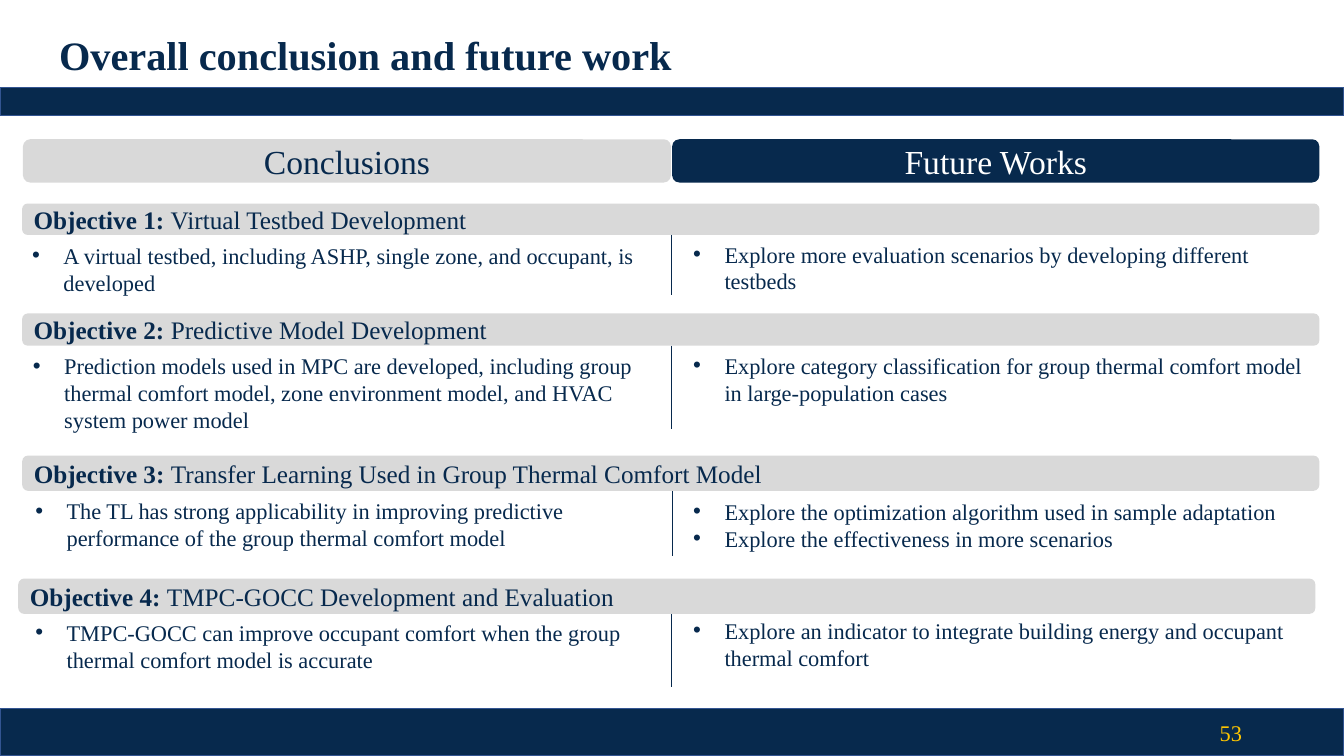
from dataclasses import dataclass

from lxml import etree
from pptx import Presentation
from pptx.dml.color import RGBColor
from pptx.enum.shapes import MSO_CONNECTOR, MSO_SHAPE
from pptx.enum.text import MSO_ANCHOR, PP_ALIGN
from pptx.oxml.ns import qn
from pptx.util import Cm, Pt

RECTANGLE = MSO_SHAPE.RECTANGLE
ROUNDED = MSO_SHAPE.ROUNDED_RECTANGLE
OBJECTIVE_BAR = MSO_SHAPE.FLOWCHART_ALTERNATE_PROCESS
STRAIGHT = MSO_CONNECTOR.STRAIGHT
MIDDLE = MSO_ANCHOR.MIDDLE
LEFT, CENTER, RIGHT = PP_ALIGN.LEFT, PP_ALIGN.CENTER, PP_ALIGN.RIGHT

FONT = "Times New Roman"
NAVY, GREY, WHITE = "07294D", "D9D9D9", "FFFFFF"
GOLD, EDGE_BLUE = "FFC600", "325491"

SLIDE_WIDTH, SLIDE_HEIGHT = 33.87, 19.05
BAR_WIDTH = 32.69
FUTURE_LEFT = 17.22
CONCLUSION_WIDTH, FUTURE_WIDTH = 16.28, 16.38
BULLET_INDENT = Cm(0.79)


@dataclass
class Objective:
    """One band of the slide; all positions are in cm."""
    topic: str
    conclusions: list
    future_works: list
    bar_left: float
    bar_top: float
    bar_height: float
    conclusion_left: float
    conclusion_top: float
    future_top: float
    divider_x: float
    divider_bottom: float


OBJECTIVES = [
    Objective(
        "Virtual Testbed Development",
        ["A virtual testbed, including ASHP, single zone, and occupant, is developed"],
        ["Explore more evaluation scenarios by developing different testbeds"],
        0.56, 5.13, 0.79, 0.56, 5.97, 5.94, 16.92, 7.44),
    Objective(
        "Predictive Model Development",
        ["Prediction models used in MPC are developed, including group thermal "
         "comfort model, zone environment model, and HVAC system power model"],
        ["Explore category classification for group thermal comfort model "
         "in large-population cases"],
        0.56, 7.9, 0.81, 0.58, 8.76, 8.74, 16.92, 10.8),
    Objective(
        "Transfer Learning Used in Group Thermal Comfort Model",
        ["The TL has strong applicability in improving predictive performance "
         "of the group thermal comfort model"],
        ["Explore the optimization algorithm used in sample adaptation",
         "Explore the effectiveness in more scenarios"],
        0.56, 11.48, 0.89, 0.64, 12.4, 12.42, 16.94, 14.02),
    Objective(
        "TMPC-GOCC Development and Evaluation",
        ["TMPC-GOCC can improve occupant comfort when the group thermal "
         "comfort model is accurate"],
        ["Explore an indicator to integrate building energy and occupant "
         "thermal comfort"],
        0.46, 14.58, 0.89, 0.64, 15.47, 15.42, 16.93, 17.32),
]


def rgb(hex_colour):
    return RGBColor.from_string(hex_colour)


def style_font(font, size, colour, bold=False):
    font.name = FONT
    font.size = Pt(size)
    font.bold = bold
    font.color.rgb = rgb(colour)


def add_block(slide, kind, left, top, width, height, fill, edge=None):
    block = slide.shapes.add_shape(kind, Cm(left), Cm(top), Cm(width), Cm(height))
    block.shadow.inherit = False
    block.fill.solid()
    block.fill.fore_color.rgb = rgb(fill)
    if edge:
        block.line.color.rgb = rgb(edge)
        block.line.width = Pt(1)
    else:
        block.line.fill.background()
    frame = block.text_frame
    frame.vertical_anchor = MIDDLE
    frame.margin_left = frame.margin_right = Cm(0.25)
    frame.margin_top = frame.margin_bottom = Cm(0.25)
    return block


def add_text_frame(slide, left, top, width, height):
    box = slide.shapes.add_textbox(Cm(left), Cm(top), Cm(width), Cm(height))
    box.text_frame.word_wrap = True
    return box.text_frame


def add_label(slide, text, left, top, width, height, size, colour,
              align=LEFT, bold=False):
    frame = add_text_frame(slide, left, top, width, height)
    frame.vertical_anchor = MIDDLE
    frame.text = text
    frame.paragraphs[0].alignment = align
    style_font(frame.paragraphs[0].runs[0].font, size, colour, bold)


def add_column_header(slide, text, left, width, fill, colour):
    header = add_block(slide, ROUNDED, left, 3.51, width, 1.09, fill)
    paragraph = header.text_frame.paragraphs[0]
    paragraph.text = text
    paragraph.alignment = CENTER
    style_font(paragraph.runs[0].font, 24, colour)


def add_objective_bar(slide, number, objective):
    bar = add_block(slide, OBJECTIVE_BAR, objective.bar_left, objective.bar_top,
                    BAR_WIDTH, objective.bar_height, GREY)
    paragraph = bar.text_frame.paragraphs[0]
    paragraph.alignment = LEFT
    for text, bold in ((f"Objective {number}: ", True), (objective.topic, False)):
        run = paragraph.add_run()
        run.text = text
        style_font(run.font, 18, NAVY, bold)


def add_bullets(slide, items, left, top, width):
    frame = add_text_frame(slide, left, top, width, 1.63)
    frame.text = "\n".join(items)
    for paragraph in frame.paragraphs:
        properties = paragraph._p.get_or_add_pPr()
        properties.set("marL", str(BULLET_INDENT))
        properties.set("indent", str(-BULLET_INDENT))
        etree.SubElement(properties, qn("a:buFont")).set("typeface", "Arial")
        etree.SubElement(properties, qn("a:buChar")).set("char", "•")
        style_font(paragraph.runs[0].font, 16, NAVY)


def add_divider(slide, x, top, bottom):
    divider = slide.shapes.add_connector(STRAIGHT, Cm(x), Cm(top), Cm(x), Cm(bottom))
    divider.line.color.rgb = rgb(NAVY)
    divider.line.width = Pt(0.5)
    etree.SubElement(divider._element.spPr, qn("a:effectLst"))


def add_objective(slide, number, objective):
    add_objective_bar(slide, number, objective)
    add_divider(slide, objective.divider_x,
                objective.bar_top + objective.bar_height, objective.divider_bottom)
    add_bullets(slide, objective.conclusions, objective.conclusion_left,
                objective.conclusion_top, CONCLUSION_WIDTH)
    add_bullets(slide, objective.future_works, FUTURE_LEFT,
                objective.future_top, FUTURE_WIDTH)


def main():
    presentation = Presentation()
    presentation.slide_width = Cm(SLIDE_WIDTH)
    presentation.slide_height = Cm(SLIDE_HEIGHT)
    slide = presentation.slides.add_slide(presentation.slide_layouts[6])

    for top, height in ((17.86, 1.19), (2.21, 0.71)):
        add_block(slide, RECTANGLE, 0, top, SLIDE_WIDTH, height, NAVY, EDGE_BLUE)
    add_label(slide, "Overall conclusion and future work",
              1.24, 1.02, 30.3, 0.71, 28.8, NAVY, bold=True)
    add_label(slide, "53", 23.93, 17.96, 7.62, 1.02, 16, GOLD, RIGHT)

    add_column_header(slide, "Conclusions", 0.58, 16.33, GREY, NAVY)
    add_column_header(slide, "Future Works", 16.94, 16.31, NAVY, WHITE)
    for number, objective in enumerate(OBJECTIVES, start=1):
        add_objective(slide, number, objective)

    presentation.save("out.pptx")


if __name__ == "__main__":
    main()
